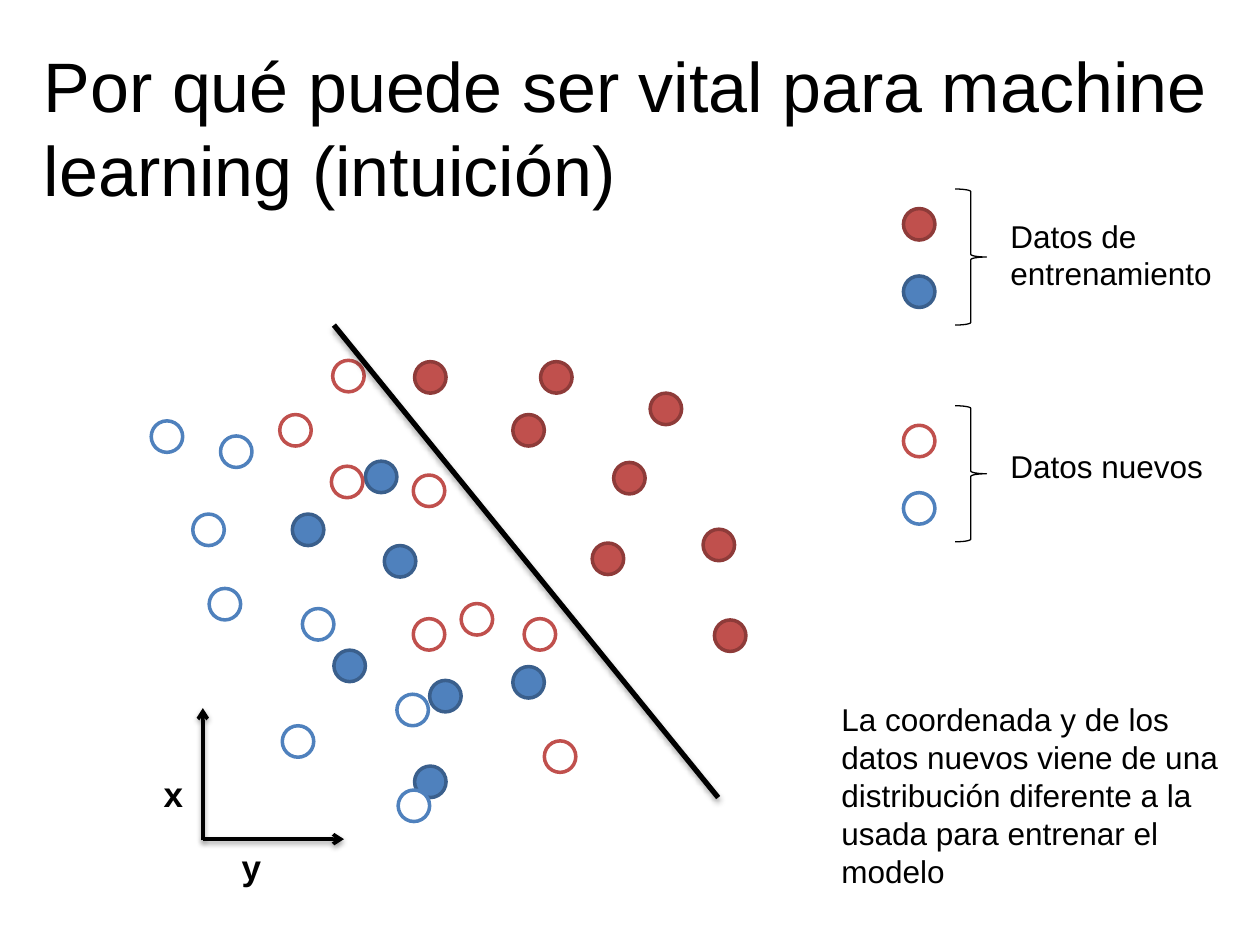
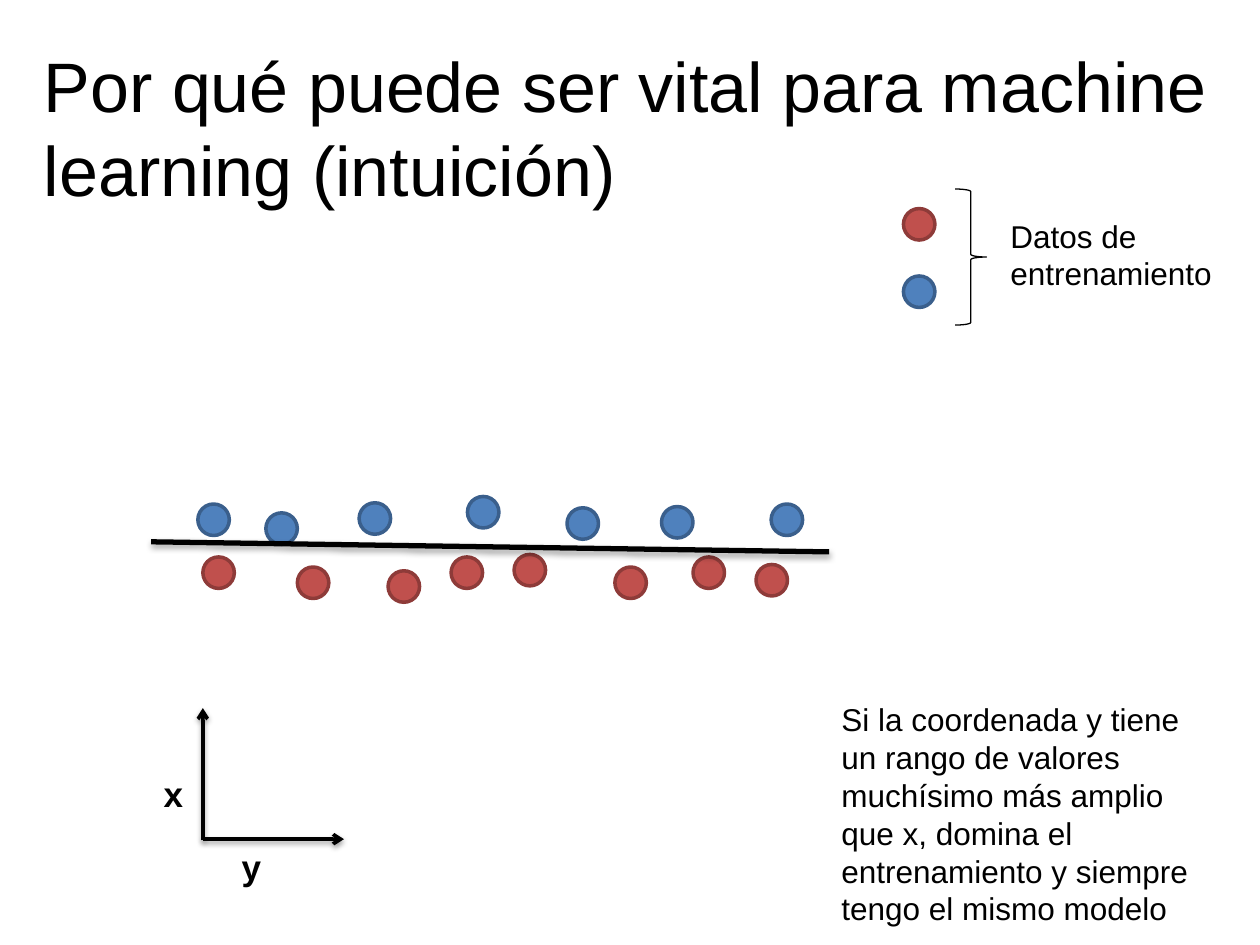
from lxml.etree import SubElement
from pptx import Presentation
from pptx.dml.color import RGBColor
from pptx.enum.shapes import MSO_CONNECTOR, MSO_SHAPE
from pptx.enum.text import MSO_ANCHOR
from pptx.oxml import parse_xml
from pptx.oxml.ns import nsdecls, qn
from pptx.util import Inches, Pt

THEME = {
    "font": "Arial",
    "ink": RGBColor.from_string("000000"),
    "title": {"size": Pt(40), "bold": False},
    "body": {"size": Pt(18), "bold": False},
    "axis": {"size": Pt(20), "bold": True},
    "dots": {
        "trained red": ("C0504D", "8E3B39"),
        "trained blue": ("4F81BD", "3A5F8C"),
        "new red": ("FFFFFF", "C0504D"),
        "new blue": ("FFFFFF", "4F81BD"),
    },
    "dot_line": Pt(2),
    "brace_line": Pt(0.75),
    "boundary": {"width": Pt(3), "distance": 23000, "alpha": 35000},
    "arrow": {"width": Pt(2), "distance": 20000, "alpha": 38000},
}

TITLE = "Por qué puede ser vital para machine learning (intuición)"
TRAINING = {"kind": "trained", "label": "Datos de\nentrenamiento", "row": 6, "label_row": 6.68, "label_rows": 2.84}
NEW = {"kind": "new", "label": "Datos nuevos", "row": 12.88, "label_row": 14, "label_rows": 1.6}

SLIDES = [
    {
        "note": "La coordenada y de los datos nuevos viene de una distribución diferente "
                "a la usada para entrenar el modelo",
        "note_rows": 6.48,
        "legends": [TRAINING, NEW],
        "boundary": (10.6, 10.32, 22.8, 25.32),
        "dots": {
            "trained blue": [(9.28, 16.32), (11.6, 14.64), (10.6, 20.64), (12.2, 17.32),
                             (16.28, 21.16), (13.16, 24.32), (13.64, 21.6)],
            "trained red": [(13.16, 11.48), (16.28, 13.16), (17.16, 11.48), (18.8, 17.24),
                            (19.48, 14.68), (20.64, 12.48), (22.32, 16.8), (22.68, 19.68)],
            "new red": [(8.88, 13.16), (10.56, 11.44), (10.52, 14.8), (13.12, 15.08),
                        (14.64, 19.16), (13.12, 19.64), (17.28, 23.52), (16.64, 19.64)],
            "new blue": [(4.8, 13.36), (7, 13.84), (6.12, 16.32), (6.64, 18.68),
                         (9.6, 19.32), (8.96, 23.04), (12.6, 22.04), (12.64, 25.08)],
        },
    },
    {
        "note": "Si la coordenada y tiene un rango de valores muchísimo más amplio que x, "
                "domina el entrenamiento y siempre tengo el mismo modelo",
        "note_rows": 7.68,
        "legends": [TRAINING],
        "boundary": (4.8, 17.2, 26.32, 17.52),
        "dots": {
            "trained red": [(6.44, 17.68), (12.32, 18.12), (19.52, 18), (16.32, 17.6),
                            (9.44, 18), (24, 17.92), (22, 17.68), (14.32, 17.68)],
            "trained blue": [(6.28, 16), (8.44, 16.28), (11.4, 15.96), (14.84, 15.76),
                             (18, 16.12), (21, 16.08), (24.48, 16)],
        },
    },
]

presentation = Presentation()
presentation.slide_width, presentation.slide_height = Inches(10), Inches(7.5)
COLUMN = presentation.slide_width // 40
ROW = presentation.slide_height // 30


def add_text(slide, text, style, column, row, columns, rows, wrap=True, top=Inches(0.05)):
    box = slide.shapes.add_textbox(
        int(column * COLUMN), int(row * ROW), int(columns * COLUMN), int(rows * ROW))
    frame_format = {"word_wrap": wrap, "vertical_anchor": MSO_ANCHOR.TOP, "margin_top": top}
    for name, value in frame_format.items():
        setattr(box.text_frame, name, value)
    box.text_frame.text = text
    for paragraph in box.text_frame.paragraphs:
        font = paragraph.runs[0].font
        for name, value in {"name": THEME["font"], **THEME[style]}.items():
            setattr(font, name, value)
        font.color.rgb = THEME["ink"]


def add_line(slide, style, start_column, start_row, end_column, end_row):
    connector = slide.shapes.add_connector(
        MSO_CONNECTOR.STRAIGHT, int(start_column * COLUMN), int(start_row * ROW),
        int(end_column * COLUMN), int(end_row * ROW))
    look = THEME[style]
    connector.line.width = look["width"]
    connector.line.color.rgb = THEME["ink"]
    if style == "arrow":
        SubElement(connector.line._get_or_add_ln(), qn("a:tailEnd"), type="arrow")
    connector._element.spPr.append(parse_xml(
        f'<a:effectLst {nsdecls("a")}><a:outerShdw blurRad="40000" dist="{look["distance"]}" '
        f'dir="5400000" rotWithShape="0"><a:srgbClr val="{THEME["ink"]}">'
        f'<a:alpha val="{look["alpha"]}"/></a:srgbClr></a:outerShdw></a:effectLst>'))


for content in SLIDES:
    slide = presentation.slides.add_slide(presentation.slide_layouts[6])
    add_text(slide, TITLE, "title", 1, 0.36, 39, 7.8, top=Inches(0.25))

    dots = [(kind, *place) for kind, places in content["dots"].items() for place in places]
    for legend in content["legends"]:
        dots.append((f"{legend['kind']} red", 28.68, legend["row"] + 0.62))
        dots.append((f"{legend['kind']} blue", 28.68, legend["row"] + 2.76))
        brace = slide.shapes.add_shape(
            MSO_SHAPE.RIGHT_BRACE, int(30.32 * COLUMN), int(legend["row"] * ROW),
            COLUMN, int(4.32 * ROW))
        brace.shadow.inherit = False
        brace.fill.background()
        brace.line.color.rgb = THEME["ink"]
        brace.line.width = THEME["brace_line"]
        add_text(slide, legend["label"], "body", 31.68, legend["label_row"],
                 7.4, legend["label_rows"], wrap=False)

    for kind, column, row in dots:
        dot = slide.shapes.add_shape(
            MSO_SHAPE.OVAL, int(column * COLUMN), int(row * ROW), COLUMN, ROW)
        fill, outline = THEME["dots"][kind]
        dot.shadow.inherit = False
        dot.fill.solid()
        dot.fill.fore_color.rgb = RGBColor.from_string(fill)
        dot.line.color.rgb = RGBColor.from_string(outline)
        dot.line.width = THEME["dot_line"]

    add_line(slide, "boundary", *content["boundary"])
    add_line(slide, "arrow", 6.44, 26.68, 6.44, 22.48)
    add_line(slide, "arrow", 6.44, 26.64, 10.92, 26.64)
    add_text(slide, "x", "axis", 4.8, 24.32, 2.68, 1.76)
    add_text(slide, "y", "axis", 7.28, 26.64, 2.68, 1.76)
    add_text(slide, content["note"], "body", 26.32, 22.04, 12.8, content["note_rows"])

presentation.save("out.pptx")
